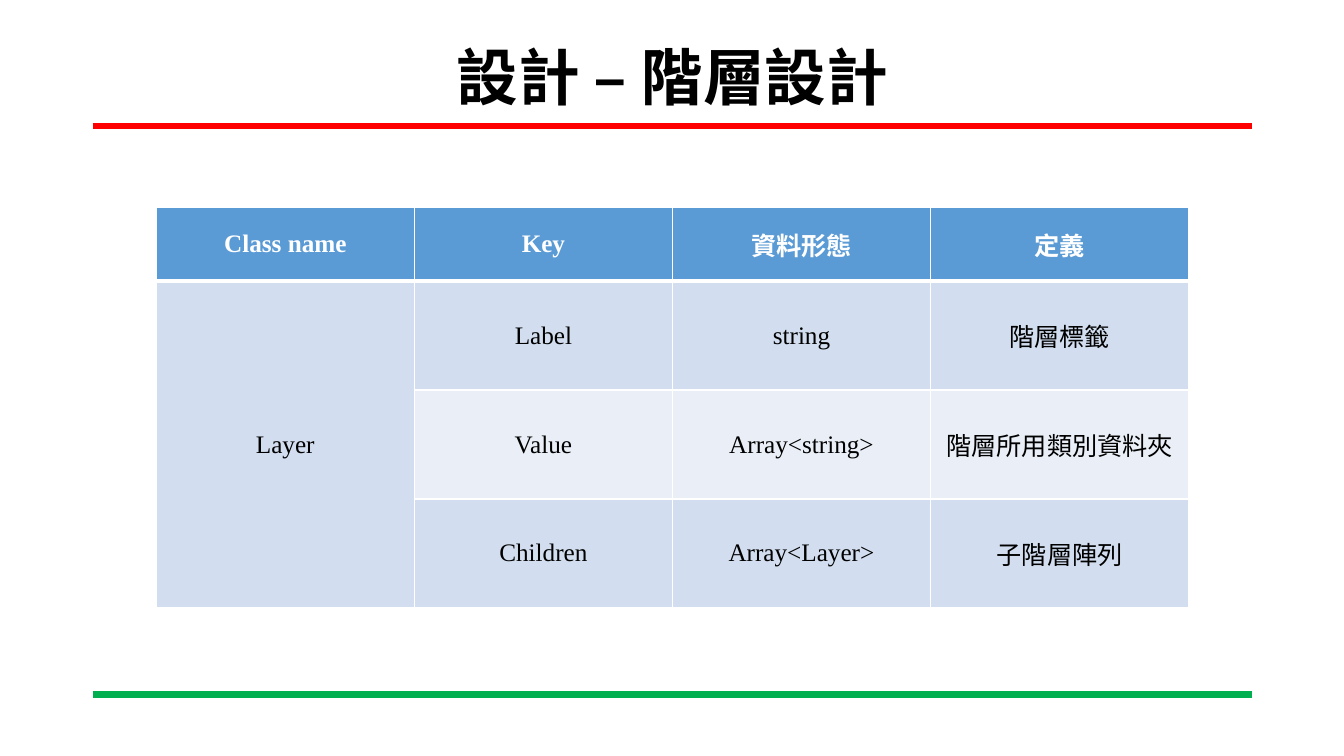
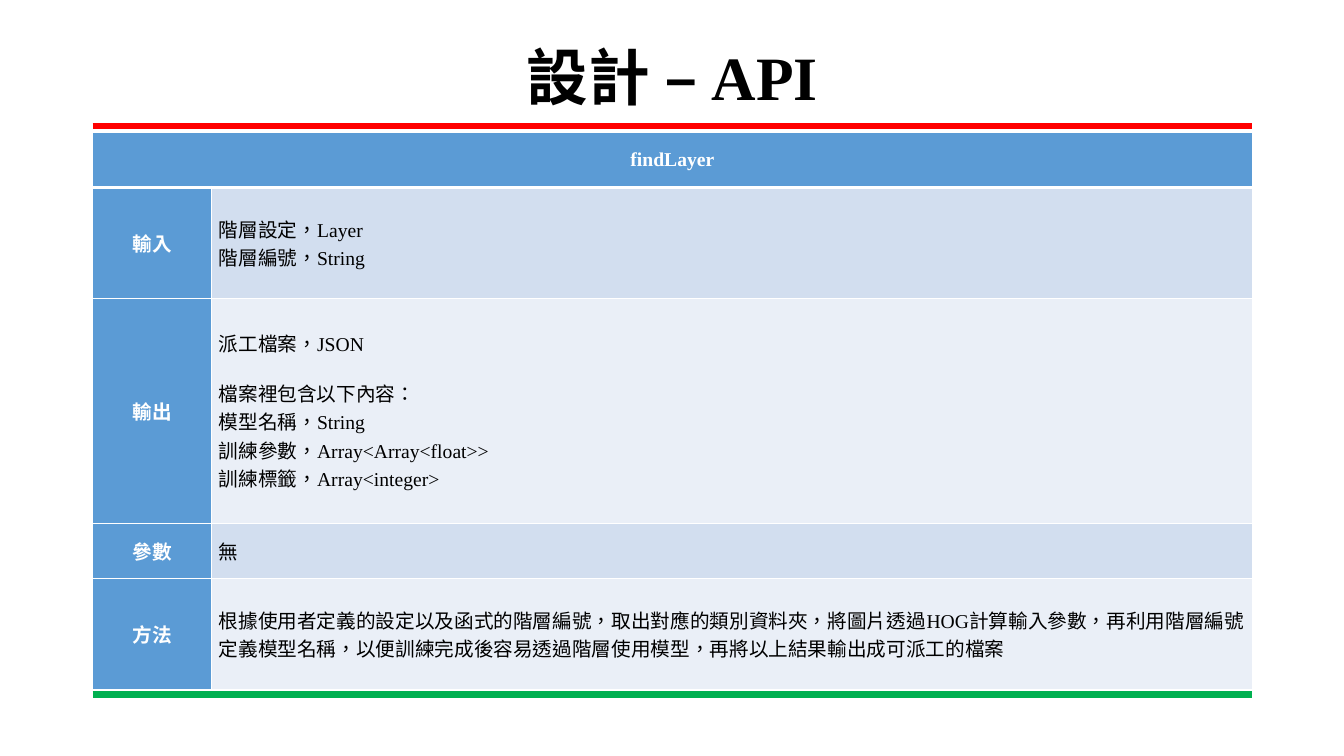
from lxml import etree
from pptx import Presentation
from pptx.dml.color import RGBColor
from pptx.enum.lang import MSO_LANGUAGE_ID
from pptx.enum.shapes import MSO_CONNECTOR
from pptx.enum.text import MSO_ANCHOR, PP_ALIGN
from pptx.oxml.ns import qn
from pptx.util import Inches, Pt

CENTER, LEFT = PP_ALIGN.CENTER, PP_ALIGN.LEFT
MIDDLE = MSO_ANCHOR.MIDDLE
STRAIGHT = MSO_CONNECTOR.STRAIGHT
CHINESE = MSO_LANGUAGE_ID.TRADITIONAL_CHINESE

COLORS = {
    "top_rule": "FF0000",
    "bottom_rule": "00B050",
    "header": "5B9BD5",
    "band_dark": "D2DEEF",
    "band_light": "EAEFF7",
    "text": "000000",
    "white": "FFFFFF",
}
LATIN_FONT = "Times New Roman"
ASIAN_FONT = "Noto Sans CJK SC"
MARGIN, CONTENT_WIDTH = 0.92, 11.5
TITLE_ONLY = 5

LAYER_ROWS = [
    ["Class name", "Key", "資料形態", "定義"],
    ["Layer", "Label", "string", "階層標籤"],
    ["", "Value", "Array<string>", "階層所用類別資料夾"],
    ["", "Children", "Array<Layer>", "子階層陣列"],
]
API_NAME = "findLayer"
API_ROWS = [
    ("輸入", ["階層設定，Layer", "階層編號，String"]),
    ("輸出", ["派工檔案，JSON", "檔案裡包含以下內容：", "模型名稱，String",
             "訓練參數，Array<Array<float>>", "訓練標籤，Array<integer>"]),
    ("參數", ["無"]),
    ("方法", ["根據使用者定義的設定以及函式的階層編號，取出對應的類別資料夾，"
             "將圖片透過HOG計算輸入參數，再利用階層編號定義模型名稱，"
             "以便訓練完成後容易透過階層使用模型，再將以上結果輸出成可派工的檔案"]),
]


def rgb(name):
    return RGBColor.from_string(COLORS[name])


def add_span(para, text, size, color, bold):
    span = para.add_run()
    span.text = text
    font = span.font
    font.size, font.bold, font.name = Pt(size), bold, LATIN_FONT
    font.color.rgb = rgb(color)
    font.language_id = CHINESE
    asian = etree.Element(qn("a:ea"), typeface=ASIAN_FONT)
    span.font._element.find(qn("a:latin")).addnext(asian)


def add_rule(layout, page, y, color):
    """Draw a full-width line and place it on the shared layout."""
    rule = page.shapes.add_connector(
        STRAIGHT, Inches(MARGIN), Inches(y),
        Inches(MARGIN + CONTENT_WIDTH), Inches(y))
    rule.line.color.rgb = rgb(color)
    rule.line.width = Pt(4.5)
    etree.SubElement(rule.element.spPr, qn("a:effectLst"))
    layout.shapes.element.append(rule.element)


def add_page(deck, title):
    page = deck.slides.add_slide(deck.slide_layouts[TITLE_ONLY])
    box = page.shapes.title
    box.left, box.top = Inches(MARGIN), Inches(0.4)
    box.width, box.height = Inches(CONTENT_WIDTH), Inches(0.79)
    box.text_frame.vertical_anchor = MIDDLE
    para = box.text_frame.paragraphs[0]
    para.alignment, para.line_spacing = CENTER, 0.9
    add_span(para, title, 44, "text", True)
    return page


def add_grid(page, left, top, widths, heights):
    table = page.shapes.add_table(
        len(heights), len(widths), Inches(left), Inches(top),
        Inches(sum(widths)), Inches(sum(heights))).table
    table.horz_banding = False
    for column, width in zip(table.columns, widths):
        column.width = Inches(width)
    for row, height in zip(table.rows, heights):
        row.height = Inches(height)
    for row_index, row in enumerate(table.rows):
        for cell in row.cells:
            style_cell(cell, row_index)
    return table


def style_cell(cell, row_index):
    """Set white borders, thicker below the header row, and the band fill."""
    properties = cell._tc.get_or_add_tcPr()
    thick_side = {0: "lnB", 1: "lnT"}.get(row_index)
    for side in ("lnL", "lnR", "lnT", "lnB"):
        width = Pt(3 if side == thick_side else 1)
        border = etree.SubElement(properties, qn(f"a:{side}"), w=str(width))
        fill = etree.SubElement(border, qn("a:solidFill"))
        etree.SubElement(fill, qn("a:srgbClr"), val=COLORS["white"])
    band = "band_dark" if row_index % 2 else "band_light"
    fill_cell(cell, band if row_index else "header")


def fill_cell(cell, color):
    cell.fill.solid()
    cell.fill.fore_color.rgb = rgb(color)


def write_cell(cell, lines, size, header=False, align=CENTER):
    cell.vertical_anchor = MIDDLE
    frame = cell.text_frame
    for index, line in enumerate(lines):
        para = frame.add_paragraph() if index else frame.paragraphs[0]
        para.alignment = align
        add_span(para, line, size, "white" if header else "text", header)


def add_layer_table(page):
    table = add_grid(page, 1.55, 2.06, [2.56] * 4, [0.73] + [1.08] * 3)
    table.cell(1, 0).merge(table.cell(3, 0))
    for row_index, texts in enumerate(LAYER_ROWS):
        for column, text in enumerate(texts):
            if text:
                write_cell(table.cell(row_index, column), [text], 18,
                           header=row_index == 0)


def add_api_table(page):
    table = add_grid(page, MARGIN, 1.31, [1.18, 10.32],
                     [0.55, 1.1, 2.23, 0.55, 1.1])
    for cell in table.iter_cells():
        cell.margin_left = cell.margin_right = Inches(0.07)
        cell.margin_top = cell.margin_bottom = 0
    table.cell(0, 0).merge(table.cell(0, 1))
    write_cell(table.cell(0, 0), [API_NAME], 14, header=True)
    for row_index, (label, lines) in enumerate(API_ROWS, start=1):
        fill_cell(table.cell(row_index, 0), "header")
        write_cell(table.cell(row_index, 0), [label], 14, header=True)
        write_cell(table.cell(row_index, 1), lines, 14, align=LEFT)
    output_paras = table.cell(2, 1).text_frame.paragraphs
    output_paras[0].space_after = Pt(15)


def main():
    deck = Presentation()
    deck.slide_width, deck.slide_height = Inches(13.33), Inches(7.5)
    layer_page = add_page(deck, "設計 – 階層設計")
    layout = layer_page.slide_layout
    add_rule(layout, layer_page, 1.25, "top_rule")
    add_rule(layout, layer_page, 6.89, "bottom_rule")
    add_layer_table(layer_page)
    add_api_table(add_page(deck, "設計 – API"))
    deck.save("out.pptx")


if __name__ == "__main__":
    main()
